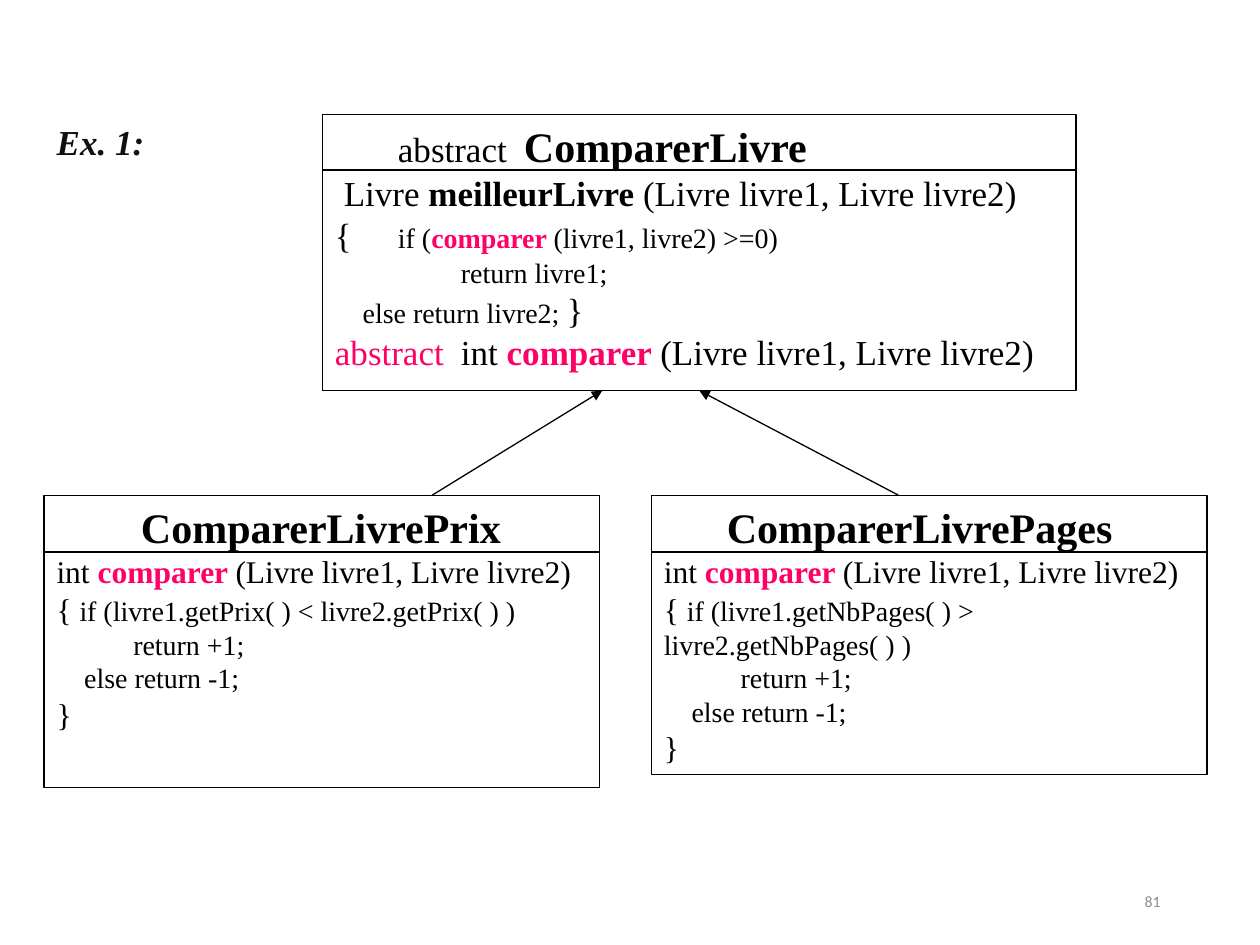
from lxml.etree import SubElement as Sub
from pptx import Presentation
from pptx.dml.color import RGBColor as Rgb
from pptx.enum.shapes import MSO_CONNECTOR as Conn, MSO_SHAPE as Form
from pptx.enum.text import MSO_ANCHOR as Anchor, MSO_AUTO_SIZE as Auto, PP_ALIGN as Align
from pptx.oxml.ns import qn
from pptx.util import Inches, Pt

WIDE, HIGH = 10, 7.5
HUES = {"ink": "000000", "pink": "FF0066", "paper": "FFFFFF", "dark": "101010", "gray": "8C8C8C"}
SERIF = "Times New Roman"
HEAD = {"size": 24, "bold": True}
CALL = {"bold": True, "hue": "pink"}
ARGS = "(Livre livre1, Livre livre2)"


def child(name, test, shift):
    sign = ("int ", {"size": 18}), ("comparer ", {"size": 18, **CALL}), (ARGS, {"size": 18})
    return [
        ([(name, HEAD)], {"left": shift, "before": 3}),
        (sign, {}),
        ([("{ ", {"size": 18}), (test, {})], {}),
        ([("return +1;", {})], {"left": 0.61}),
        ([("else return -1;", {})], {"left": 0.22}),
        ([("}", {"size": 18})], {}),
    ]


BASE = [
    ([("\tabstract\t", {"size": 20}), ("ComparerLivre", HEAD)], {"tabs": (1.2, 2.34), "before": 3}),
    ([("Livre ", {"size": 20}), ("meilleurLivre", {"size": 20, "bold": True}),
      (" " + ARGS, {"size": 20})], {"left": 0.07}),
    ([("{\t", {"size": 20}), ("if (", {}), ("comparer ", CALL),
      ("(livre1, livre2) >=0)", {})], {"tabs": (0.27,)}),
    ([("return livre1;", {})], {"left": 1}),
    ([("else return livre2; ", {}), ("}", {"size": 20})], {"left": 0.22}),
    ([("abstract\t", {"size": 20, "hue": "pink"}), ("int ", {"size": 20}),
      ("comparer ", {"size": 20, **CALL}), (ARGS, {"size": 20})], {"tabs": (1.07,)}),
]
PRIX = child("ComparerLivrePrix", "if (livre1.getPrix( ) < livre2.getPrix( ) )", 0.67)
PAGES = child("ComparerLivrePages", "if (livre1.getNbPages( ) > livre2.getNbPages( ) )", 0.5)

TOP, LOW = 0.91, 3.93
FOOT = TOP + 2.19
EDGE, SIDE, GAP = 0.35, 4.41, 0.41
BOXES = [
    (BASE, 2.56, TOP, 5.98, 2.19, 0.44),
    (PRIX, EDGE, LOW, SIDE, 2.32, 0.45),
    (PAGES, EDGE + SIDE + GAP, LOW, SIDE, 2.22, 0.45),
]
LINKS = [(3.43, 4.78), (7.13, 5.55)]


def color(name):
    return Rgb.from_string(HUES[name])


def write(para, text, size=16, bold=False, slant=False, hue="ink", font=SERIF):
    run = para.add_run()
    run.text = text
    face = run.font
    face.size, face.bold, face.italic, face.name = Pt(size), bold, slant, font
    face.color.rgb = color(hue)


def lay(para, left=0, before=0, tabs=(), align=Align.LEFT):
    para.alignment = align
    para.space_before = Pt(before)
    para.line_spacing = 1.0
    prop = para._p.get_or_add_pPr()
    prop.set("marL", str(Inches(left)))
    prop.set("indent", "0")
    if tabs:
        stops = Sub(prop, qn("a:tabLst"))
        for stop in tabs:
            Sub(stops, qn("a:tab"), pos=str(Inches(stop)), algn="l")


def frame(shape, anchor=Anchor.TOP):
    body = shape.text_frame
    body.word_wrap, body.auto_size = True, Auto.NONE
    body.vertical_anchor = anchor
    return body


def line(slide, x1, y1, x2, y2, arrow=False):
    link = slide.shapes.add_connector(Conn.STRAIGHT, *map(Inches, (x1, y1, x2, y2)))
    link.line.color.rgb = color("ink")
    link.line.width = Pt(0.75)
    if arrow:
        Sub(link.line._get_or_add_ln(), qn("a:tailEnd"), type="triangle")
    Sub(link._element.spPr, qn("a:effectLst"))


def box(slide, rows, x, y, w, h, rule):
    rect = slide.shapes.add_shape(Form.RECTANGLE, *map(Inches, (x, y, w, h)))
    rect.shadow.inherit = False
    rect.fill.solid()
    rect.fill.fore_color.rgb = color("paper")
    rect.line.color.rgb = color("ink")
    rect.line.width = Pt(0.75)
    body = frame(rect)
    for i, (runs, form) in enumerate(rows):
        para = body.add_paragraph() if i else body.paragraphs[0]
        lay(para, **form)
        for text, look in runs:
            write(para, text, **look)
    line(slide, x, y + rule, x + w, y + rule)


def main():
    deck = Presentation()
    deck.slide_width, deck.slide_height = Inches(WIDE), Inches(HIGH)
    slide = deck.slides.add_slide(deck.slide_layouts[5])

    title = slide.shapes.title
    title.left, title.top, title.width, title.height = map(Inches, (EDGE, TOP, 1.18, 0.44))
    para = frame(title).paragraphs[0]
    lay(para, before=3)
    write(para, "Ex. 1:", size=20, bold=True, slant=True, hue="dark")

    for x1, x2 in LINKS:
        line(slide, x1, LOW, x2, FOOT, arrow=True)
    for item in BOXES:
        box(slide, *item)

    page = slide.shapes.add_textbox(*map(Inches, (7.06, 6.95, 2.25, 0.4)))
    para = frame(page, Anchor.MIDDLE).paragraphs[0]
    lay(para, align=Align.RIGHT)
    write(para, "81", size=9, hue="gray", font="Calibri")
    deck.save("out.pptx")


if __name__ == "__main__":
    main()
